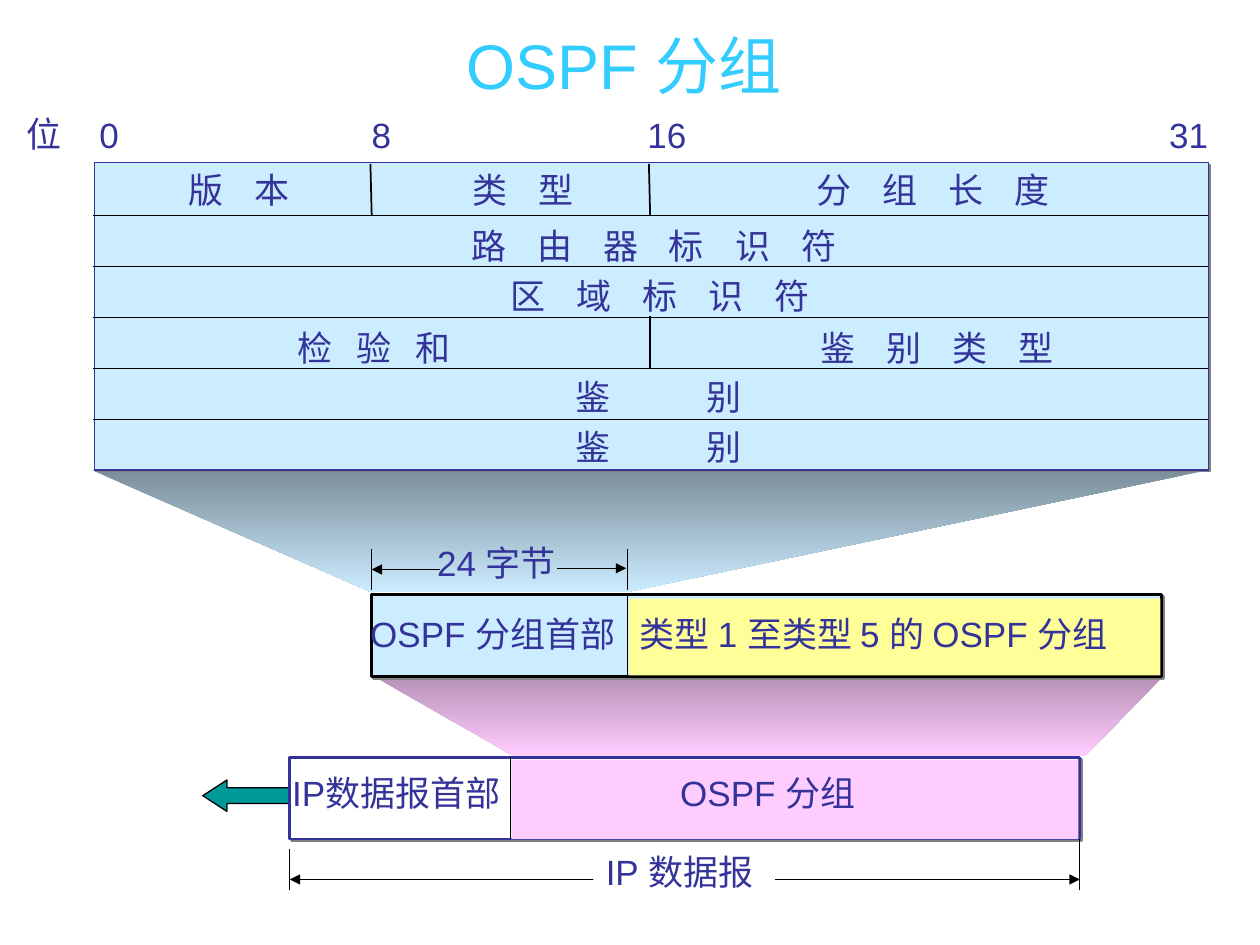
from dataclasses import dataclass
from typing import Optional

from lxml.etree import SubElement
from pptx import Presentation
from pptx.dml.color import RGBColor
from pptx.enum.shapes import MSO_CONNECTOR, MSO_SHAPE
from pptx.enum.text import MSO_ANCHOR, PP_ALIGN
from pptx.oxml.ns import qn
from pptx.util import Inches, Pt

BLACK = RGBColor(0x00, 0x00, 0x00)
WHITE = RGBColor(0xFF, 0xFF, 0xFF)
NAVY = RGBColor(0x33, 0x33, 0x99)
SKY = RGBColor(0x33, 0xCC, 0xFF)
TEAL = RGBColor(0x00, 0x99, 0x99)
PALE_BLUE = RGBColor(0xCC, 0xEC, 0xFF)
DARK_BLUE = RGBColor(0x7B, 0x8E, 0x9A)
PINK = RGBColor(0xFF, 0xCC, 0xFF)
DARK_PINK = RGBColor(0xB8, 0x93, 0xB8)
YELLOW = RGBColor(0xFF, 0xFF, 0x99)
FONT = "Arial"

HEADER_LEFT, HEADER_RIGHT = 0.74, 9.59
ROW_TOP, ROW_BOTTOM, ROW_LINES = 1.71, 3.33, 5
WIDE, MEDIUM, VERY_WIDE = 6.6, 4.6, 25


@dataclass
class Label:
    text: str
    left: float
    top: float
    width: float
    height: float = 0.43
    spacing: float = 0
    fill: Optional[RGBColor] = None


@dataclass
class Block:
    left: float
    top: float
    width: float
    height: float
    fill: RGBColor
    line: Optional[RGBColor] = None
    line_width: float = 0.75
    shadow: bool = False
    kind: MSO_SHAPE = MSO_SHAPE.RECTANGLE


@dataclass
class Rule:
    start: tuple[float, float]
    end: tuple[float, float]
    width: float = 0.75
    head: bool = False
    tail: bool = False


@dataclass
class Funnel:
    points: list[tuple[float, float]]
    dark: RGBColor
    light: RGBColor


def add_label(slide, label: Label) -> None:
    box = slide.shapes.add_textbox(Inches(label.left), Inches(label.top),
                                   Inches(label.width + label.spacing / 72), Inches(label.height))
    if label.fill is not None:
        box.fill.solid()
        box.fill.fore_color.rgb = label.fill
    box.text_frame.word_wrap = False
    para = box.text_frame.paragraphs[0]
    para.text = label.text
    for span in para.runs:
        span.font.size = Pt(20)
        span.font.name = FONT
        span.font.color.rgb = NAVY
        if label.spacing:
            span.font._element.set("spc", str(round(label.spacing * 100)))


def add_shadow(shape) -> None:
    effects = shape._element.spPr.find(qn("a:effectLst"))
    shadow = SubElement(effects, qn("a:outerShdw"), blurRad="0", dist=str(Pt(1.4)),
                        dir="2700000", algn="ctr", rotWithShape="0")
    SubElement(shadow, qn("a:srgbClr"), val="808080")


def add_block(slide, block: Block):
    shape = slide.shapes.add_shape(block.kind, Inches(block.left), Inches(block.top),
                                   Inches(block.width), Inches(block.height))
    shape.shadow.inherit = False
    shape.fill.solid()
    shape.fill.fore_color.rgb = block.fill
    if block.line is None:
        shape.line.fill.background()
    else:
        shape.line.color.rgb = block.line
        shape.line.width = Pt(block.line_width)
    if block.shadow:
        add_shadow(shape)
    return shape


def add_rule(slide, rule: Rule) -> None:
    connector = slide.shapes.add_connector(MSO_CONNECTOR.STRAIGHT,
                                           *map(Inches, rule.start + rule.end))
    connector.line.color.rgb = BLACK
    connector.line.width = Pt(rule.width)
    properties = connector._element.spPr
    outline = properties.find(qn("a:ln"))
    for wanted, tag in ((rule.head, "a:headEnd"), (rule.tail, "a:tailEnd")):
        if wanted:
            SubElement(outline, qn(tag), type="triangle")
    SubElement(properties, qn("a:effectLst"))


def add_funnel(slide, funnel: Funnel) -> None:
    points = [(Inches(x), Inches(y)) for x, y in funnel.points]
    builder = slide.shapes.build_freeform(*points[0])
    builder.add_line_segments(points[1:], close=True)
    shape = builder.convert_to_shape()
    shape.shadow.inherit = False
    shape.line.fill.background()
    shape.fill.gradient()
    shape.fill.gradient_angle = 270
    for stop, color in zip(shape.fill.gradient_stops, (funnel.dark, funnel.light)):
        stop.color.rgb = color


def add_title(slide, text: str) -> None:
    title = slide.shapes.title
    title.left, title.top = Inches(0.69), Inches(0.13)
    title.width, title.height = Inches(8.52), Inches(0.76)
    title.text_frame.text = text
    title.text_frame.vertical_anchor = MSO_ANCHOR.MIDDLE
    para = title.text_frame.paragraphs[0]
    para.alignment = PP_ALIGN.CENTER
    for span in para.runs:
        span.font.size = Pt(36)
        span.font.name = FONT
        span.font.color.rgb = SKY


def draw_datagram(slide) -> None:
    arrow = add_block(slide, Block(1.61, 6.19, 0.77, 0.25, TEAL, BLACK, kind=MSO_SHAPE.LEFT_ARROW))
    arrow.adjustments[1] = 0.77
    add_rule(slide, Rule((2.3, 6.98), (8.57, 6.98), head=True, tail=True))
    add_label(slide, Label("IP 数据报", 4.71, 6.7, 1.44, 0.44, fill=WHITE))
    add_block(slide, Block(2.3, 6.01, 6.27, 0.65, WHITE, NAVY, 1.5, shadow=True))
    add_block(slide, Block(4.06, 6.03, 4.5, 0.63, PINK))
    for x, top, bottom in ((4.05, 6.01, 6.66), (8.57, 6.66, 7.06), (2.3, 6.74, 7.06)):
        add_rule(slide, Rule((x, top), (x, bottom)))
    add_label(slide, Label("IP数据报首部", 2.22, 6.07, 1.96, 0.44))
    add_label(slide, Label("OSPF 分组", 5.3, 6.07, 1.66, 0.44))


def draw_packet(slide) -> None:
    add_block(slide, Block(2.95, 4.72, 6.27, 0.65, PALE_BLUE, BLACK, 1.5, shadow=True))
    add_block(slide, Block(4.99, 4.75, 4.22, 0.61, YELLOW))
    for x, top, bottom in ((4.98, 4.72, 5.36), (2.95, 4.36, 4.68), (4.98, 4.36, 4.68)):
        add_rule(slide, Rule((x, top), (x, bottom)))
    add_label(slide, Label("OSPF 分组首部", 2.84, 4.81, 2.3, 0.44))
    add_label(slide, Label("类型 1 至类型 5 的 OSPF 分组", 4.98, 4.81, 4.4, 0.44))
    add_rule(slide, Rule((4.42, 4.51), (4.97, 4.51), tail=True))
    add_rule(slide, Rule((3.49, 4.52), (2.95, 4.52), tail=True))
    add_label(slide, Label("24 字节", 3.37, 4.25, 1.25, 0.44))


def draw_header(slide) -> None:
    add_block(slide, Block(0.75, 1.29, 8.84, 2.44, PALE_BLUE, NAVY, shadow=True))
    row_height = (ROW_BOTTOM - ROW_TOP) / (ROW_LINES - 1)
    for row in range(ROW_LINES):
        y = ROW_TOP + row * row_height
        add_rule(slide, Rule((HEADER_LEFT, y), (HEADER_RIGHT, y), 1))
    for start, end in (((2.94, 1.3), (2.95, 1.71)), ((5.15, 1.3), (5.16, 1.71)),
                       ((5.16, 2.51), (5.16, 2.92))):
        add_rule(slide, Rule(start, end, 1))
    for label in (
        Label("位", 0.11, 0.84, 0.48),
        Label("0", 0.69, 0.85, 0.35),
        Label("8", 2.85, 0.85, 0.35),
        Label("16", 5.04, 0.85, 0.51),
        Label("31", 9.18, 0.85, 0.51),
        Label("版 本", 1.4, 1.29, 1, spacing=WIDE),
        Label("类 型", 3.65, 1.29, 1, spacing=WIDE),
        Label("分 组 长 度", 6.38, 1.29, 2.06, spacing=WIDE),
        Label("路 由 器 标 识 符", 3.64, 1.73, 3.12, spacing=WIDE),
        Label("区 域 标 识 符", 3.95, 2.13, 2.59, spacing=WIDE),
        Label("检 验 和", 2.26, 2.54, 1.41, spacing=MEDIUM),
        Label("鉴 别 类 型", 6.41, 2.54, 2.06, spacing=WIDE),
        Label("鉴 别", 4.47, 2.93, 1.5, spacing=VERY_WIDE),
        Label("鉴 别", 4.47, 3.33, 1.5, spacing=VERY_WIDE),
    ):
        add_label(slide, label)


def main() -> None:
    deck = Presentation()
    deck.slide_width, deck.slide_height = Inches(10), Inches(7.5)
    slide = deck.slides.add_slide(deck.slide_layouts[5])
    add_title(slide, "OSPF 分组")
    add_funnel(slide, Funnel([(0.73, 3.73), (9.59, 3.73), (4.97, 4.7), (2.95, 4.7)],
                             DARK_BLUE, PALE_BLUE))
    add_funnel(slide, Funnel([(2.99, 5.38), (9.22, 5.38), (8.61, 6), (4.08, 6)], DARK_PINK, PINK))
    draw_datagram(slide)
    draw_packet(slide)
    draw_header(slide)
    deck.save("out.pptx")


if __name__ == "__main__":
    main()
